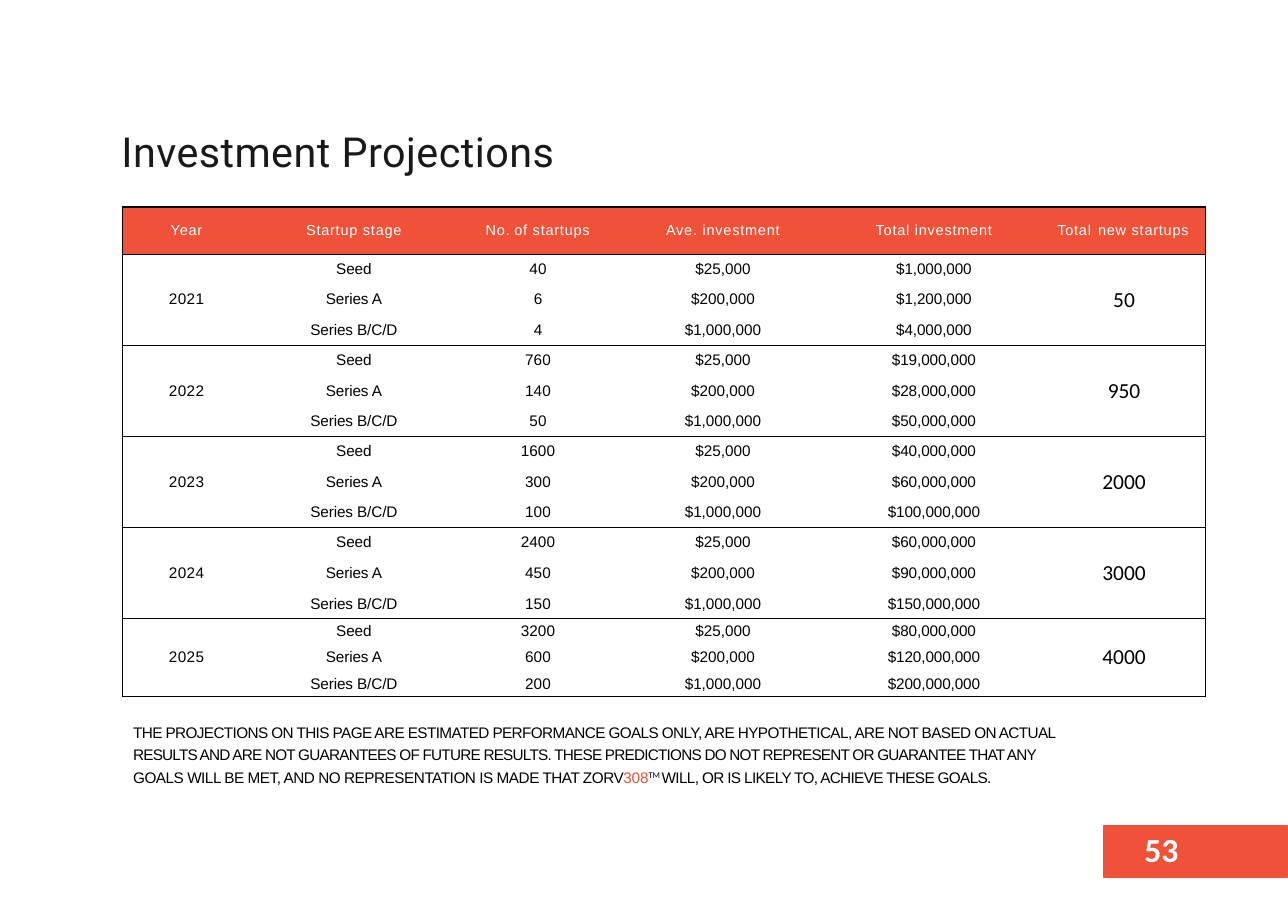
from lxml import etree
from pptx import Presentation
from pptx import util as u
from pptx.dml.color import RGBColor
from pptx.enum import shapes, text
from pptx.oxml.ns import qn

COLORS = {"accent": "F05139", "title": "191919", "black": "000000", "white": "FFFFFF"}
NO_STYLE = "{2D5ABB26-0587-4C30-8999-92F81FD0307C}"
LEFT, CENTER = text.PP_ALIGN.LEFT, text.PP_ALIGN.CENTER

# Table grid in cm
COL_WIDTHS = [3.07, 4.34, 1.58, 2.69, 4.57, 4.57, 1.63, 2.52]
HEADER_HEIGHT = 1.09
GROUP_HEIGHTS = [0.68, 0.74, 0.68]
LAST_HEIGHTS = [0.59, 0.62, 0.59]

# Header cells: text, alignment, left and right margin
HEADERS = [
    ("Year", CENTER, 0, 0.11), ("Startup stage", CENTER, 0.2, 0),
    ("No.", LEFT, 0.97, 0), ("of startups", LEFT, 0.05, 0),
    ("Ave. investment", CENTER, 0, 0.23), ("Total investment", CENTER, 0.36, 0),
    ("Total", LEFT, 0.74, 0), ("new startups", LEFT, 0.05, 0),
]
# Body columns: grid column, left and right margin, letter spacing
BODY = [(0, 0, 0.11, 0.25), (1, 0.2, 0, -0.05), (2, 0.08, 0, 0.1),
        (4, 0, 0.23, 0), (5, 0.36, 0, -0.05), (6, 0.41, 0, 0)]
MERGED = (2, 6)

STAGES = [("Seed", "$25,000"), ("Series A", "$200,000"), ("Series B/C/D", "$1,000,000")]
# Year, new startups, startups per stage, investment per stage
YEARS = [
    ("2021", "50", ("40", "6", "4"), ("$1,000,000", "$1,200,000", "$4,000,000")),
    ("2022", "950", ("760", "140", "50"), ("$19,000,000", "$28,000,000", "$50,000,000")),
    ("2023", "2000", ("1600", "300", "100"), ("$40,000,000", "$60,000,000", "$100,000,000")),
    ("2024", "3000", ("2400", "450", "150"), ("$60,000,000", "$90,000,000", "$150,000,000")),
    ("2025", "4000", ("3200", "600", "200"), ("$80,000,000", "$120,000,000", "$200,000,000")),
]

# Disclaimer runs: text, letter spacing, changes to the format
DISCLAIMER = [
    ("THE PROJECTIONS ON THIS PAGE ARE ESTIMATED PERFORMANCE GOALS ONLY, ARE "
     "HYPOTHETICAL, ARE NOT BASED ON ACTUAL ", -0.38, {}),
    ("RESULTS AND ARE NOT GUARANTEES OF FUTURE RESULTS. THESE PREDICTIONS DO NOT "
     "REPRESENT OR GUARANTEE THAT ANY ", -0.47, {}),
    ("GOALS WILL BE MET, AND NO REPRESENTATION IS MADE THAT ZORV", -0.28, {}),
    ("308", -0.1, {"color": "accent"}),
    ("TM ", -0.1, {"name": "Calibri", "size": 9.8, "baseline": 30}),
    ("WILL, OR IS LIKELY TO, ACHIEVE THESE GOALS.", -0.4, {}),
]


class Deck:
    """Holds the style and the current slide."""

    def __init__(self, width, height):
        self.prs = Presentation()
        self.prs.slide_width, self.prs.slide_height = u.Cm(width), u.Cm(height)
        self.s = self.prs.slides.add_slide(self.prs.slide_layouts[5])

    def run(self, p, content, spc=0, color="black", baseline=0, **fmt):
        r = p.add_run()
        r.text = content
        for key, value in {"name": "Arial", "size": 10, "bold": False, **fmt}.items():
            setattr(r.font, key, u.Pt(value) if key == "size" else value)
        r.font.color.rgb = RGBColor.from_string(COLORS[color])
        rpr = r._r.get_or_add_rPr()
        rpr.set("spc", str(round(spc * 100)))
        if baseline:
            rpr.set("baseline", str(baseline * 1000))

    def frame(self, sp, wrap, left=0, top=0):
        tf = sp.text_frame
        fmt = {"word_wrap": wrap, "auto_size": text.MSO_AUTO_SIZE.NONE,
               "vertical_anchor": text.MSO_ANCHOR.TOP, "margin_left": u.Cm(left),
               "margin_top": u.Cm(top), "margin_right": 0, "margin_bottom": 0}
        for key, value in fmt.items():
            setattr(tf, key, value)
        return tf.paragraphs[0]

    def title(self, box, content, **fmt):
        sp = self.s.shapes.title
        for key, value in zip(("left", "top", "width", "height"), box):
            setattr(sp, key, u.Cm(value))
        p = self.frame(sp, False, top=0.09)
        p.alignment = LEFT
        self.run(p, content, **fmt)

    def textbox(self, box, runs, spacing=1.0, **margins):
        sp = self.s.shapes.add_textbox(*map(u.Cm, box))
        p = self.frame(sp, True, **margins)
        p.line_spacing = spacing
        for content, spc, fmt in runs:
            self.run(p, content, spc, **fmt)

    def rect(self, box, color):
        sp = self.s.shapes.add_shape(shapes.MSO_SHAPE.RECTANGLE, *map(u.Cm, box))
        sp.shadow.inherit = False
        sp.fill.solid()
        sp.fill.fore_color.rgb = sp.line.color.rgb = RGBColor.from_string(COLORS[color])
        sp.line.width = u.Pt(1)

    def table(self, left, top, widths, heights):
        frame = self.s.shapes.add_table(len(heights), len(widths), u.Cm(left), u.Cm(top),
                                        u.Cm(sum(widths)), u.Cm(sum(heights)))
        tbl = frame.table
        tbl.first_row = tbl.horz_banding = False
        tbl._tbl.tblPr.find(qn("a:tableStyleId")).text = NO_STYLE
        for col, width in zip(tbl.columns, widths):
            col.width = u.Cm(width)
        for row, height in zip(tbl.rows, heights):
            row.height = u.Cm(height)
        return tbl

    def style_cell(self, cell, color, sides):
        """Borders come before the fill in the cell properties."""
        tcpr = cell._tc.get_or_add_tcPr()
        for side in "LRTB":
            ln = etree.SubElement(tcpr, qn("a:ln" + side), w=str(u.Pt(1)))
            if side in sides:
                fill = etree.SubElement(ln, qn("a:solidFill"))
                etree.SubElement(fill, qn("a:srgbClr"), val=COLORS["black"])
            else:
                etree.SubElement(ln, qn("a:noFill"))
        cell.fill.solid()
        cell.fill.fore_color.rgb = RGBColor.from_string(COLORS[color])
        cell.vertical_anchor = text.MSO_ANCHOR.MIDDLE
        for edge in ("left", "right", "top", "bottom"):
            setattr(cell, "margin_" + edge, 0)
        # Small end mark, so that empty cells keep the row height
        cell.text_frame.paragraphs[0]._p.get_or_add_endParaRPr().set("sz", "1000")

    def write_cell(self, cell, content, align, left, right, **fmt):
        cell.margin_left, cell.margin_right = u.Cm(left), u.Cm(right)
        p = cell.text_frame.paragraphs[0]
        p.alignment = align
        self.run(p, content, **fmt)


def fill_table(deck):
    heights = [HEADER_HEIGHT] + GROUP_HEIGHTS * (len(YEARS) - 1) + LAST_HEIGHTS
    tbl = deck.table(2.82, 4.77, COL_WIDTHS, heights)

    # Rules and fills: lines around the header, the Seed rows and each year
    rules = ["TB", "", "B"]
    last = len(COL_WIDTHS) - 1
    for i in range(len(heights)):
        for j in range(last + 1):
            sides = "TB" if i == 0 else rules[(i - 1) % 3]
            sides += "L" if j == 0 else ""
            # The first cell of the last merged pair carries the right edge too
            sides += "R" if j == last or (i and j == last - 1) else ""
            deck.style_cell(tbl.cell(i, j), "white" if i else "accent", sides)
        if i:
            for j in MERGED:
                tbl.cell(i, j).merge(tbl.cell(i, j + 1))

    # Header
    for j, (content, align, left, right) in enumerate(HEADERS):
        deck.write_cell(tbl.cell(0, j), content, align, left, right,
                        spc=0.5, size=9.5, color="white")

    # Three stages a year, with the year and its total on the middle row
    for y, (year, total, counts, sums) in enumerate(YEARS):
        for k, (stage, average) in enumerate(STAGES):
            middle = k == 1
            values = (year if middle else "", stage, counts[k], average, sums[k],
                      total if middle else "")
            for value, (j, left, right, spc) in zip(values, BODY):
                if value:
                    fmt = {"name": "Calibri", "size": 14} if j == 6 else {}
                    deck.write_cell(tbl.cell(1 + 3 * y + k, j), value, CENTER,
                                    left, right, spc=spc, **fmt)


def main():
    deck = Deck(29.7, 20.98)
    # Page number
    deck.rect((25.45, 19.05, 4.24, 1.17), "accent")
    deck.textbox((26.29, 19.1, 1.04, 1.02),
                 [("53", 0, {"name": "Calibri", "size": 22, "bold": True, "color": "white"})],
                 left=0.1)
    # Title, table and disclaimer
    deck.title((2.8, 2.82, 10.13, 1.22), "Investment Projections",
               name="Roboto", size=27, color="title", spc=0.3)
    fill_table(deck)
    deck.textbox((2.97, 16.54, 22.1, 1.63), DISCLAIMER, spacing=1.23, left=0.1, top=0.03)
    deck.prs.save("out.pptx")


if __name__ == "__main__":
    main()
